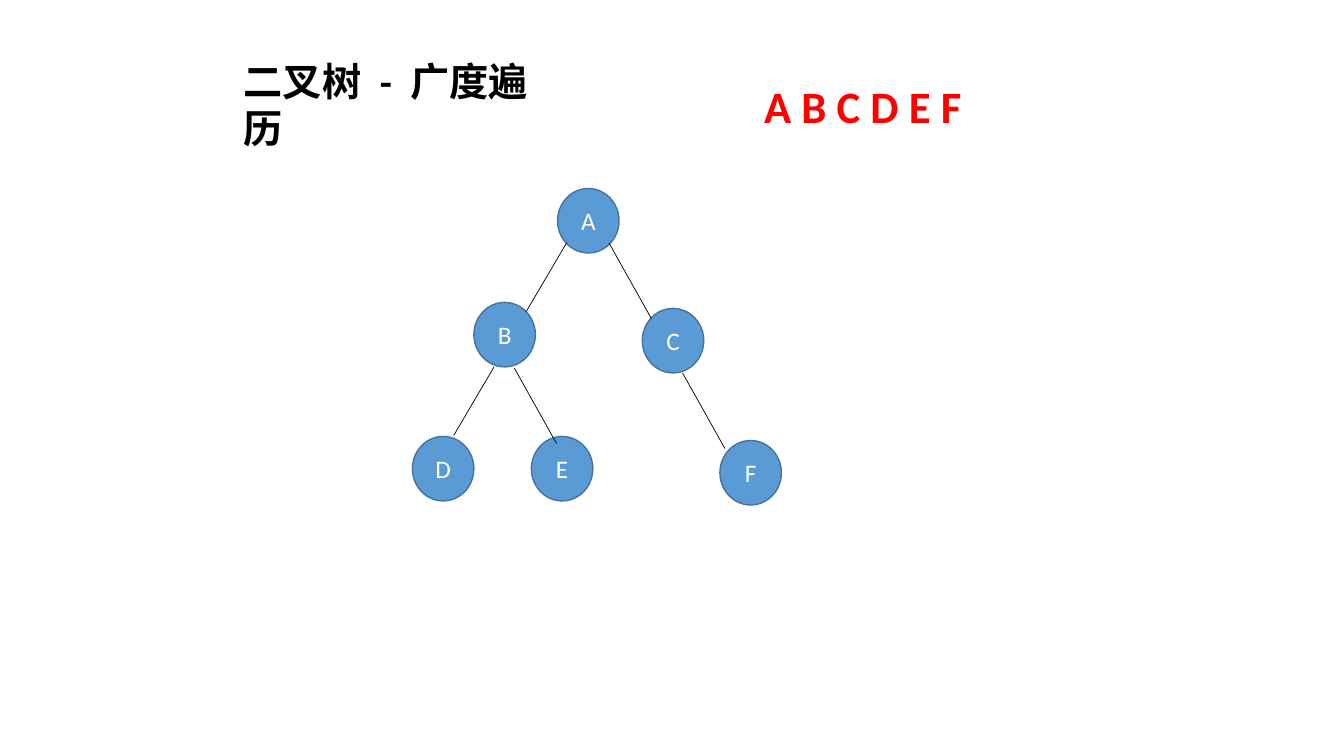
from typing import NamedTuple

from lxml import etree
from pptx import Presentation
from pptx.dml.color import RGBColor
from pptx.enum import shapes, text
from pptx.oxml import ns
from pptx.slide import Slide
from pptx.util import Inches, Pt

BLUE = RGBColor(0x5B, 0x9B, 0xD5)
DARK_BLUE = RGBColor(0x43, 0x73, 0x9E)
WHITE = RGBColor(0xFF, 0xFF, 0xFF)
BLACK = RGBColor(0x00, 0x00, 0x00)
RED = RGBColor(0xFF, 0x00, 0x00)
FONT = "Calibri"
NODE_WIDTH, NODE_HEIGHT = 0.61, 0.64


class Node(NamedTuple):
    label: str
    left: float
    top: float


class Branch(NamedTuple):
    x: float
    y: float
    step: tuple[float, float]


class Piece(NamedTuple):
    words: str
    spacing: float = 0  # extra points after each character


class Label(NamedTuple):
    pieces: list[Piece]
    left: float
    top: float
    width: float
    height: float
    size: int
    color: RGBColor


# Each branch runs from its parent by one of two fixed steps
TO_LEFT = (-0.4, 0.68)
TO_RIGHT = (0.42, 0.75)

NODES = [
    Node("A", 5.53, 1.87),
    Node("B", 4.7, 3),
    Node("C", 6.37, 3.06),
    Node("D", 4.09, 4.33),
    Node("E", 5.27, 4.33),
    Node("F", 7.14, 4.37),
]
BRANCHES = [
    Branch(5.62, 2.41, TO_LEFT),
    Branch(6.04, 2.41, TO_RIGHT),
    Branch(5.1, 3.65, TO_RIGHT),
    Branch(6.77, 3.7, TO_RIGHT),
    Branch(4.9, 3.64, TO_LEFT),
]
WIDE_SPACE = Piece(" ", 7)
TITLE = [Piece("二叉树"), WIDE_SPACE, Piece("-"), WIDE_SPACE, Piece("广度遍历")]
LABELS = [
    Label(TITLE, 2.32, 0.52, 3.26, 0.57, 28, BLACK),
    Label([Piece("A B C D E F")], 7.48, 0.73, 3.28, 0.64, 32, RED),
]


def add_run(paragraph, piece: Piece, size: int, color: RGBColor, bold: bool) -> None:
    run = paragraph.add_run()
    run.text = piece.words
    run.font.name = FONT
    run.font.size = Pt(size)
    run.font.bold = bold
    run.font.color.rgb = color
    if piece.spacing:
        run.font._element.set("spc", str(round(piece.spacing * 100)))


def add_node(slide: Slide, node: Node) -> None:
    shape = slide.shapes.add_shape(
        shapes.MSO_SHAPE.OVAL, Inches(node.left), Inches(node.top),
        Inches(NODE_WIDTH), Inches(NODE_HEIGHT))
    shape.shadow.inherit = False
    shape.fill.solid()
    shape.fill.fore_color.rgb = BLUE
    shape.line.color.rgb = DARK_BLUE
    shape.line.width = Pt(1)
    shape.text_frame.vertical_anchor = text.MSO_ANCHOR.MIDDLE
    paragraph = shape.text_frame.paragraphs[0]
    paragraph.alignment = text.PP_ALIGN.CENTER
    add_run(paragraph, Piece(node.label), 18, WHITE, False)


def add_branch(slide: Slide, branch: Branch) -> None:
    across, down = branch.step
    connector = slide.shapes.add_connector(
        shapes.MSO_CONNECTOR.STRAIGHT, Inches(branch.x), Inches(branch.y),
        Inches(branch.x + across), Inches(branch.y + down))
    connector.line.color.rgb = BLACK
    connector.line.width = Pt(0.5)
    etree.SubElement(connector._element.spPr, ns.qn("a:effectLst"))


def add_label(slide: Slide, label: Label) -> None:
    box = slide.shapes.add_textbox(
        Inches(label.left), Inches(label.top), Inches(label.width), Inches(label.height))
    box.text_frame.word_wrap = True
    box.text_frame.auto_size = text.MSO_AUTO_SIZE.SHAPE_TO_FIT_TEXT
    for piece in label.pieces:
        add_run(box.text_frame.paragraphs[0], piece, label.size, label.color, True)


def main() -> None:
    presentation = Presentation()
    presentation.slide_width = Inches(13.33)
    presentation.slide_height = Inches(7.5)
    slide = presentation.slides.add_slide(presentation.slide_layouts[6])

    # Tree
    for node in NODES:
        add_node(slide, node)
    for branch in BRANCHES:
        add_branch(slide, branch)

    # Title and visiting order
    for label in LABELS:
        add_label(slide, label)

    presentation.save("out.pptx")


if __name__ == "__main__":
    main()
